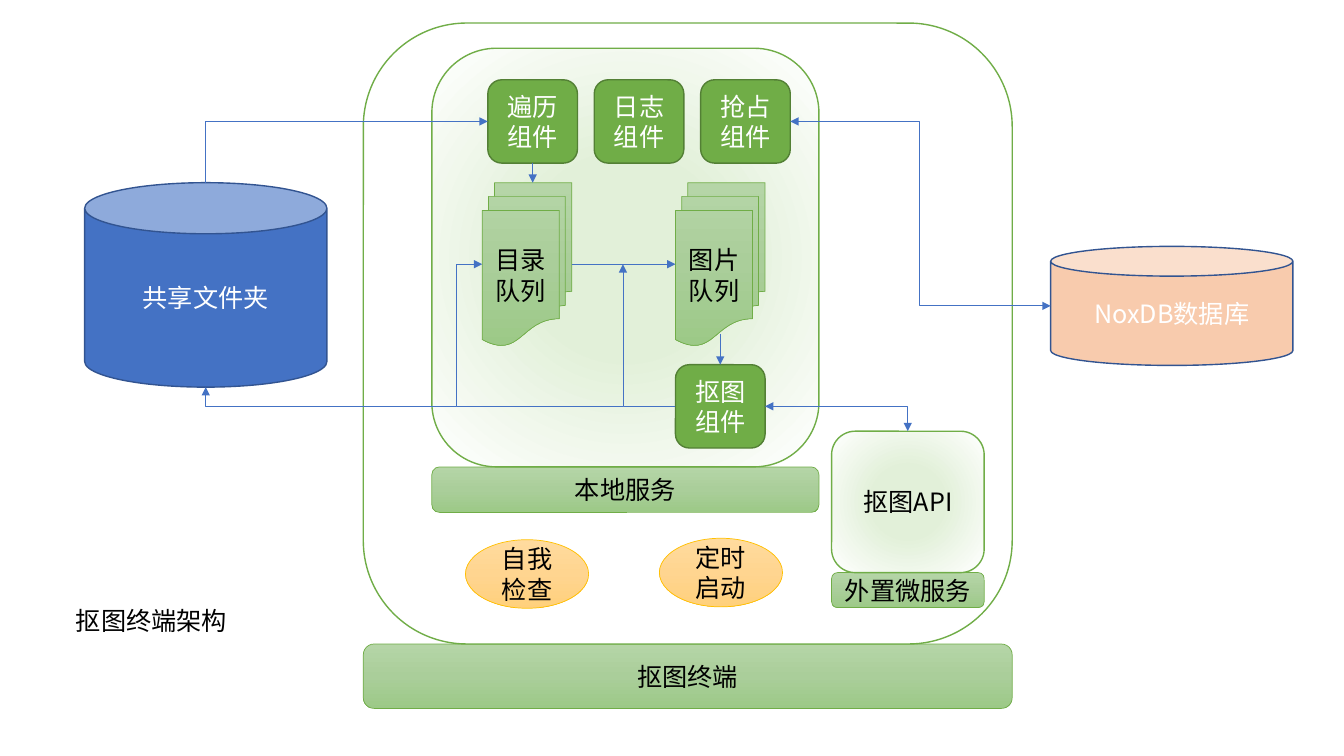
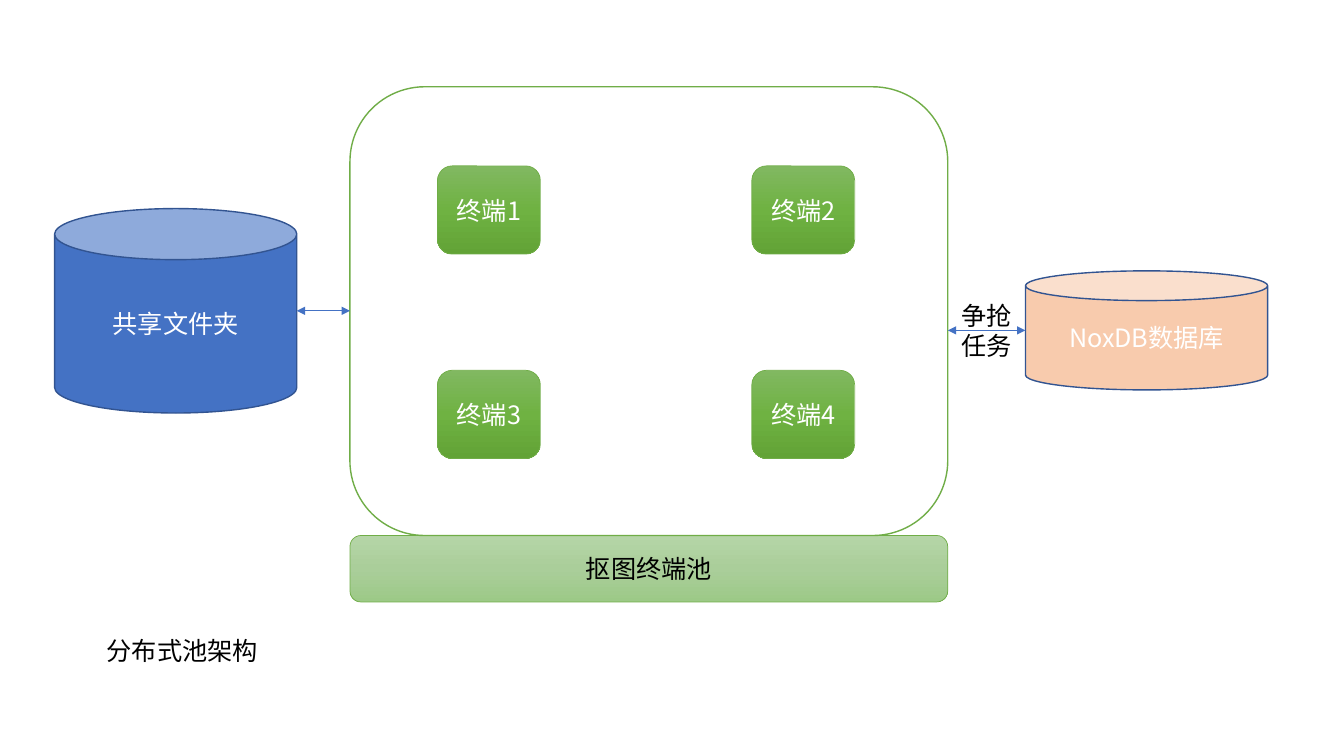
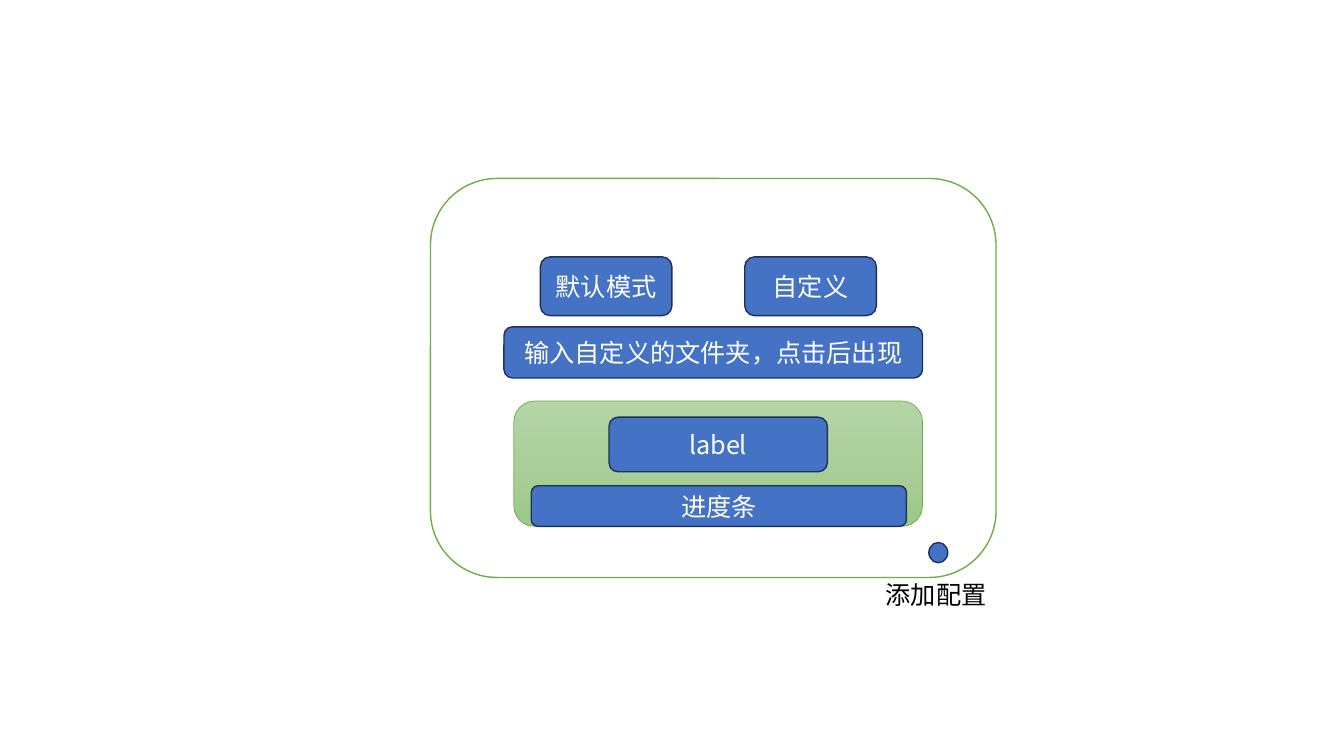
from dataclasses import dataclass

from lxml import etree
from pptx import Presentation
from pptx.dml.color import RGBColor
from pptx.enum import shapes, text
from pptx.oxml import ns
from pptx.util import Pt

KIND = shapes.MSO_SHAPE


@dataclass(frozen=True)
class Style:
    """A fill is one colour, or a list of (percent, colour) gradient stops."""
    fill: object
    line: str
    width: float
    ink: str
    radial: bool = False


class Theme:
    font = "Noto Sans CJK SC"
    size = 18
    black, white, blue, green = "000000", "FFFFFF", "4472C4", "70AD47"
    link_width = 0.5
    frame = Style(white, green, 1, black)
    glow = Style([(34, "E2F0D9"), (100, white)], green, 1, black, radial=True)
    band = Style([(0, "B5D5A7"), (50, "AACE9A"), (100, "9CC987")], green, 0.5, black)
    terminal = Style([(0, "81B861"), (50, "6FB242"), (100, "62A336")], green, 0.5, white)
    task = Style([(0, "FFDB9E"), (50, "FFD590"), (100, "FFD07C")], "FFC000", 0.5, black)
    component = Style(green, "538035", 1, white)
    folder = Style(blue, "325491", 1, white)
    database = Style("F8CBAD", "325491", 1, white)
    control = Style(blue, "1E3256", 1, white)


def child(parent, tag, **attributes):
    return etree.SubElement(parent, ns.qn(tag), attributes)


def paint_gradient(box, stops, radial):
    box.fill.gradient()
    gradient = box.fill._xPr.find(ns.qn("a:gradFill"))
    for old in list(gradient):
        gradient.remove(old)
    stop_list = child(gradient, "a:gsLst")
    for percent, colour in stops:
        stop = child(stop_list, "a:gs", pos=str(percent * 1000))
        child(stop, "a:srgbClr", val=colour)
    if radial:
        centre = child(gradient, "a:path", path="circle")
        child(centre, "a:fillToRect", l="50000", t="50000", r="50000", b="50000")
    else:
        child(gradient, "a:lin", ang="5400000", scaled="0")


def write(frame, words, colour, align):
    para = frame.paragraphs[0]
    para.alignment = align
    span = para.add_run()
    span.text = words
    span.font.name = Theme.font
    span.font.size = Pt(Theme.size)
    span.font.bold = False
    span.font.color.rgb = RGBColor.from_string(colour)
    child(span.font._element, "a:ea", typeface=Theme.font)


def add_box(page, kind, style, left, top, width, height, words=""):
    box = page.shapes.add_shape(kind, Pt(left), Pt(top), Pt(width), Pt(height))
    box.shadow.inherit = False
    if isinstance(style.fill, str):
        box.fill.solid()
        box.fill.fore_color.rgb = RGBColor.from_string(style.fill)
    else:
        paint_gradient(box, style.fill, style.radial)
    box.line.color.rgb = RGBColor.from_string(style.line)
    box.line.width = Pt(style.width)
    if words:
        box.text_frame.word_wrap = True
        box.text_frame.vertical_anchor = text.MSO_ANCHOR.MIDDLE
        write(box.text_frame, words, style.ink, text.PP_ALIGN.CENTER)
    return box


def add_round(page, style, *place, words=""):
    return add_box(page, KIND.ROUNDED_RECTANGLE, style, *place, words)


def add_panel(page, style, left, top, width, height, band_height, name, words=""):
    """A rounded frame standing on a band that names it."""
    add_round(page, Theme.band, left, top + height, width, band_height, words=name)
    return add_round(page, style, left, top, width, height, words=words)


def add_stores(page, folder_at, database_at):
    folder = add_box(page, KIND.CAN, Theme.folder, *folder_at, 173, 146, "共享文件夹")
    database = add_box(page, KIND.CAN, Theme.database, *database_at, 173, 85, "NoxDB数据库")
    return folder, database


def add_label(page, left, top, width, height, words):
    box = page.shapes.add_textbox(Pt(left), Pt(top), Pt(width), Pt(height))
    box.text_frame.word_wrap = True
    write(box.text_frame, words, Theme.black, text.PP_ALIGN.LEFT)


def add_title(page, left, top, words):
    title = page.shapes.title
    title.left, title.top, title.width, title.height = Pt(left), Pt(top), Pt(127), Pt(29)
    title.text_frame.auto_size = text.MSO_AUTO_SIZE.NONE
    title.text_frame.vertical_anchor = text.MSO_ANCHOR.TOP
    write(title.text_frame, words, Theme.black, text.PP_ALIGN.LEFT)


def side(box, name):
    """The middle of one side of a box, in points."""
    across, down = {"left": (0, 0.5), "right": (1, 0.5),
                    "top": (0.5, 0), "bottom": (0.5, 1)}[name]
    return (box.left + box.width * across) / Pt(1), (box.top + box.height * down) / Pt(1)


def add_link(page, start, end, preset="line", arrows="end", bend=None):
    """Bent links leave their start sideways; bend is the x of the upright part."""
    kind = shapes.MSO_CONNECTOR.STRAIGHT if preset == "line" else shapes.MSO_CONNECTOR.ELBOW
    link = page.shapes.add_connector(kind, *(Pt(value) for value in (*start, *end)))
    link.line.color.rgb = RGBColor.from_string(Theme.blue)
    link.line.width = Pt(Theme.link_width)
    properties = link._element.spPr
    geometry = properties.find(ns.qn("a:prstGeom"))
    geometry.set("prst", preset)
    if bend is not None:
        guides = geometry.find(ns.qn("a:avLst"))
        if guides is None:
            guides = child(geometry, "a:avLst")
        share = round(100000 * (bend - start[0]) / (end[0] - start[0]))
        child(guides, "a:gd", name="adj1", fmla=f"val {share}")
    line = properties.find(ns.qn("a:ln"))
    if arrows in ("start", "both"):
        child(line, "a:headEnd", type="triangle")
    if arrows in ("end", "both"):
        child(line, "a:tailEnd", type="triangle")
    child(properties, "a:effectLst")


def build_terminal(page):
    add_title(page, 47, 429, "抠图终端架构")
    add_panel(page, Theme.frame, 259.5, 16.5, 463.5, 443.5, 46, "抠图终端")
    folder, database = add_stores(page, (60.5, 130.5), (750.5, 176))
    for left, top, words in ((332.5, 385.5, "自我检查"), (471, 384.5, "定时启动")):
        add_box(page, KIND.OVAL, Theme.task, left, top, 88, 49, words)
    service = add_panel(page, Theme.glow, 594, 308, 109, 101, 25, "外置微服务", "抠图API")
    add_panel(page, Theme.glow, 308.5, 34.5, 276.5, 299, 32.5, "本地服务")

    walker, _, claimer = [
        add_round(page, Theme.component, 348.5 + 76 * column, 57, 64, 59.5, words=words)
        for column, words in enumerate(("遍历组件", "日志组件", "抢占组件"))]
    cutter = add_round(page, Theme.component, 482.5, 260.5, 64, 59.5, words="抠图组件")
    folders, pictures = [
        add_box(page, KIND.FLOWCHART_MULTIDOCUMENT, Theme.band, left, 130.5, 64, 116.5, words)
        for left, words in ((344.5, "目录队列"), (482.5, "图片队列"))]

    middle, cutter_top = side(cutter, "top")
    cutter_left = side(cutter, "left")
    fork = (445, cutter_left[1])
    turn = (326, cutter_left[1])
    walker_x, walker_bottom = side(walker, "bottom")
    add_link(page, (walker_x, walker_bottom), (walker_x, 130.5))
    add_link(page, side(folders, "right"), side(pictures, "left"))
    add_link(page, (middle, 238.5), (middle, cutter_top))
    add_link(page, cutter_left, (fork[0], side(folders, "right")[1]), "bentConnector2")
    add_link(page, fork, side(folders, "left"), "bentConnector3", bend=turn[0])
    add_link(page, turn, side(folder, "bottom"), "bentConnector2")
    add_link(page, side(cutter, "right"), side(service, "top"), "bentConnector2", "both")
    add_link(page, side(claimer, "right"), side(database, "left"), "bentConnector3", "both",
             bend=656.5)
    add_link(page, side(walker, "left"), side(folder, "top"), "bentConnector2", "start")


def build_pool(page):
    add_title(page, 69, 450, "分布式池架构")
    folder, database = add_stores(page, (39, 149), (732.5, 193.5))
    pool = add_panel(page, Theme.frame, 250, 62, 427, 320.5, 47.5, "抠图终端池")
    for index in range(4):
        row, column = divmod(index, 2)
        add_round(page, Theme.terminal, 312.5 + 224.5 * column, 118.5 + 146 * row, 73.5, 63,
                  words=f"终端{index + 1}")
    pool_left, pool_right = side(pool, "left")[0], side(pool, "right")[0]
    folder_side, database_side = side(folder, "right"), side(database, "left")
    add_link(page, (pool_left, folder_side[1]), folder_side, arrows="both")
    add_link(page, database_side, (pool_right, database_side[1]), arrows="both")
    add_label(page, 679.5, 211, 65, 51, "争抢任务")


def build_window(page):
    add_round(page, Theme.frame, 307.5, 127.5, 404, 285)
    for left, words in ((386, "默认模式"), (532, "自定义")):
        add_round(page, Theme.control, left, 183.5, 94, 42, words=words)
    add_box(page, KIND.FLOWCHART_CONNECTOR, Theme.control, 663.5, 387.5, 13.5, 14.5)
    add_label(page, 625.5, 410.5, 99, 29, "添加配置")
    add_round(page, Theme.control, 360, 233.5, 299, 36.5, words="输入自定义的文件夹，点击后出现")
    add_round(page, Theme.band, 367, 286.5, 292, 89.5)
    add_round(page, Theme.control, 379.5, 347, 268, 29, words="进度条")
    add_round(page, Theme.control, 435, 298, 156, 39, words="label")


def main():
    deck = Presentation()
    deck.slide_width, deck.slide_height = Pt(960), Pt(540)
    title_only, blank = deck.slide_layouts[5], deck.slide_layouts[6]
    for build, layout in ((build_terminal, title_only), (build_pool, title_only),
                          (build_window, blank)):
        build(deck.slides.add_slide(layout))
    deck.save("out.pptx")


if __name__ == "__main__":
    main()
